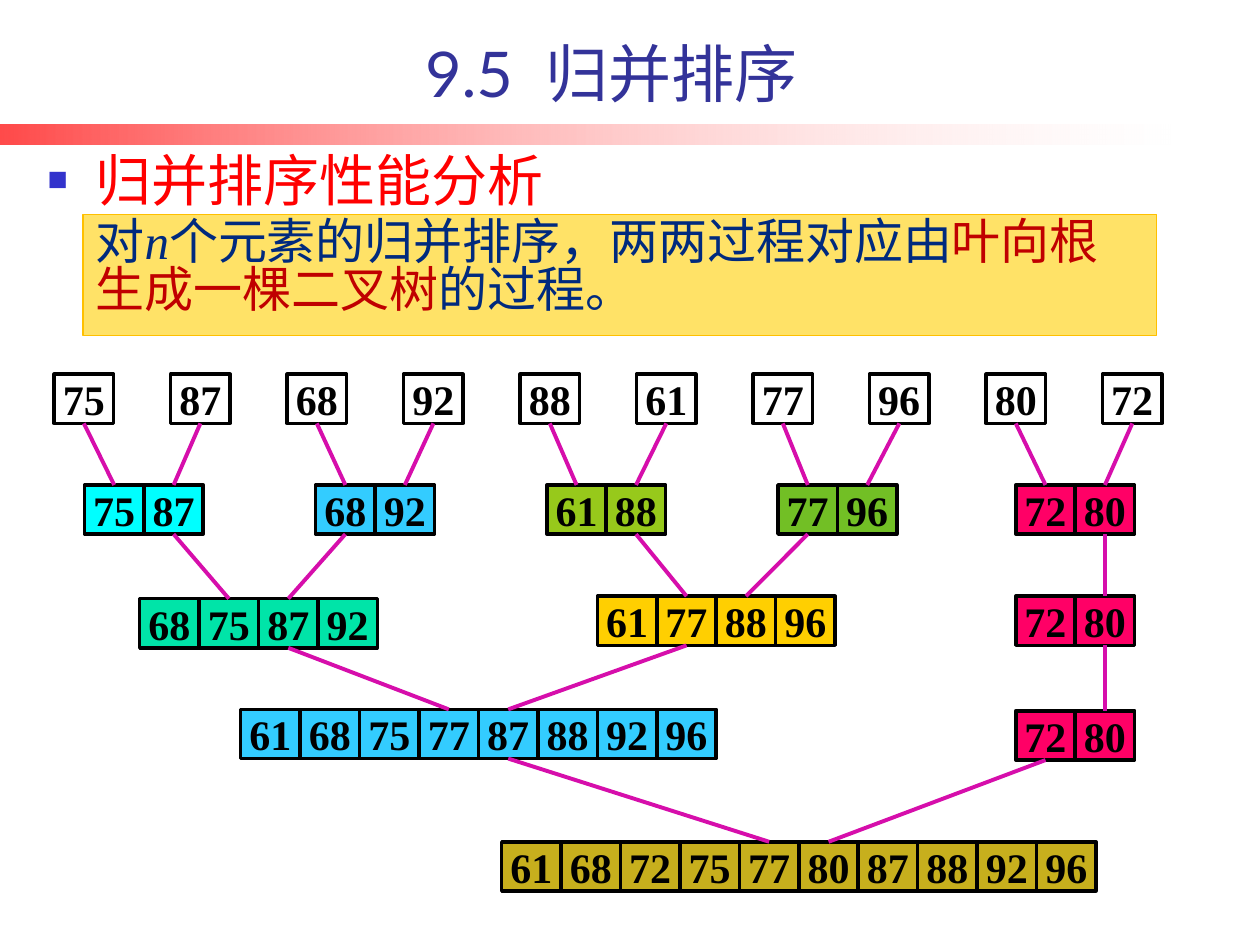
from dataclasses import dataclass
from typing import Optional

from lxml.etree import SubElement
from pptx import Presentation
from pptx.dml.color import RGBColor as Rgb
from pptx.enum.shapes import MSO_CONNECTOR as Connector, MSO_SHAPE as Shape
from pptx.enum.text import MSO_ANCHOR as Anchor, MSO_AUTO_SIZE as AutoSize, PP_ALIGN as Align
from pptx.oxml.ns import qn
from pptx.util import Inches, Pt

COLORS = {
    "title": "333399", "heading": "FF0000", "bullet": "3333CC", "navy": "002A7E",
    "dark_red": "C00000", "panel": "FFE267", "panel_line": "FFC000", "black": "000000",
    "white": "FFFFFF", "red": "FF0000", "link": "D60EAB", "aqua": "00FFFF",
    "sky": "33CCFF", "lime": "97C91B", "leaf": "72BF25", "pink": "FF0066",
    "mint": "00E4A8", "gold": "FFCF01", "olive": "C7AF1D",
}
SERIF, SANS, CJK = "Times New Roman", "Lato", "Noto Sans CJK SC"
WIDTH, HEIGHT = Inches(10), Inches(7.5)
COLUMN, ROW = WIDTH / 21.2, HEIGHT / 19.2
TREE_LEFT, TREE_TOP = WIDTH * 0.043, HEIGHT * 0.396


@dataclass(frozen=True)
class Node:
    column: float
    row: float
    fill: Optional[str]
    children: tuple["Node", ...] = ()
    value: int = 0

    @property
    def values(self) -> list[int]:
        if not self.children:
            return [self.value]
        return sorted(value for child in self.children for value in child.values)

    def slot_left(self, slot: int) -> int:
        return round(TREE_LEFT + (self.column + slot) * COLUMN)

    def slot_center(self, slot: int) -> int:
        return round(self.slot_left(slot) + COLUMN / 2)

    @property
    def top(self) -> int:
        return round(TREE_TOP + self.row * ROW)

    @property
    def bottom(self) -> int:
        return round(self.top + ROW)


def color(name: str) -> Rgb:
    return Rgb.from_string(COLORS[name])


def place(shape, left: float, top: float, width: float, height: float) -> None:
    shape.left, shape.width = round(WIDTH * left), round(WIDTH * width)
    shape.top, shape.height = round(HEIGHT * top), round(HEIGHT * height)


def style(span, size: float, font: str, name: str, bold: bool = False, italic: bool = False) -> None:
    span.font.size, span.font.name = Pt(size), font
    span.font.bold, span.font.italic = bold, italic
    span.font.color.rgb = color(name)
    SubElement(span.font._element, qn("a:ea"), typeface=CJK)


def draw_cell(page, node: Node, slot: int, value: int) -> None:
    box = page.shapes.add_shape(Shape.RECTANGLE, node.slot_left(slot), node.top, round(COLUMN), round(ROW))
    box.shadow.inherit = False
    if node.fill:
        box.fill.solid()
        box.fill.fore_color.rgb = color(node.fill)
    else:
        box.fill.background()
    box.line.color.rgb, box.line.width = color("black"), Pt(2)
    frame = box.text_frame
    frame.text = str(value)
    frame.word_wrap, frame.vertical_anchor = False, Anchor.MIDDLE
    frame.paragraphs[0].alignment = Align.CENTER
    style(frame.paragraphs[0].runs[0], 24, SERIF, "black", bold=True)


def draw_link(page, child: Node, parent: Node, is_left: bool) -> None:
    half, parent_half = len(child.values) // 2, len(parent.values) // 2
    only_child = len(parent.children) == 1
    start = half if is_left or only_child else max(half - 1, 0)
    end = parent_half - 1 if is_left and not only_child else parent_half
    link = page.shapes.add_connector(
        Connector.STRAIGHT, child.slot_center(start), child.bottom, parent.slot_center(end), parent.top)
    link.line.color.rgb, link.line.width = color("link"), Pt(2.25)
    SubElement(link._element.spPr, qn("a:effectLst"))


def draw_tree(page, node: Node) -> None:
    for child in node.children:
        draw_tree(page, child)
    for slot, value in enumerate(node.values):
        draw_cell(page, node, slot, value)
    for index, child in enumerate(node.children):
        draw_link(page, child, node, index == 0)


def build_tree() -> Node:
    numbers = (75, 87, 68, 92, 88, 61, 77, 96, 80, 72)
    leaves = [Node(1.96 * i, 0, None, value=number) for i, number in enumerate(numbers)]
    fills = ("aqua", "sky", "lime", "leaf", "pink")
    columns = [0.51 + 3.89 * i for i in range(4)] + [16.18]
    pairs = [Node(column, 2.25, fill, tuple(leaves[2 * i:2 * i + 2]))
             for i, (column, fill) in enumerate(zip(columns, fills))]
    quads = (Node(1.44, 4.56, "mint", tuple(pairs[:2])), Node(9.14, 4.51, "gold", tuple(pairs[2:4])))
    eight = Node(3.14, 6.81, "sky", quads)
    carried = pairs[4]
    for row in (4.51, 6.84):
        carried = Node(16.18, row, "pink", (carried,))
    return Node(7.53, 9.5, "olive", (eight, carried))


def draw_band(page) -> None:
    band = page.shapes.add_shape(Shape.RECTANGLE, 0, 0, 0, 0)
    place(band, 0, 0.132, 0.929, 0.021)
    band.shadow.inherit = False
    band.line.fill.background()
    band.fill.gradient()
    band.fill.gradient_angle = 0
    for stop, name, opacity in zip(band.fill.gradient_stops, ("red", "white"), (71, 18)):
        stop.color.rgb = color(name)
    for tint, opacity in zip(band._element.spPr.iter(qn("a:srgbClr")), (71, 18)):
        SubElement(tint, qn("a:alpha"), val=str(opacity * 1000))


def draw_title(page) -> None:
    title = page.shapes.title
    place(title, 0.059, 0.028, 0.852, 0.095)
    frame = title.text_frame
    frame.text = "9.5  归并排序"
    frame.auto_size, frame.vertical_anchor = AutoSize.NONE, Anchor.BOTTOM
    frame.paragraphs[0].alignment = Align.CENTER
    style(frame.paragraphs[0].runs[0], 36, SANS, "title")


def draw_heading(page) -> None:
    box = page.shapes.add_textbox(0, 0, 0, 0)
    place(box, 0.028, 0.155, 0.606, 0.079)
    frame = box.text_frame
    frame.word_wrap = True
    para = frame.paragraphs[0]
    para.text = "归并排序性能分析"
    para.line_spacing = 0.9
    style(para.runs[0], 32, CJK, "heading")
    props = para._p.get_or_add_pPr()
    props.set("marL", str(Inches(0.38)))
    props.set("indent", str(-Inches(0.38)))
    tint = SubElement(props, qn("a:buClr"))
    SubElement(tint, qn("a:srgbClr"), val=COLORS["bullet"])
    SubElement(props, qn("a:buSzPct"), val="60000")
    SubElement(props, qn("a:buFont"), typeface=SERIF)
    SubElement(props, qn("a:buChar"), char="■")


def draw_statement(page) -> None:
    body = page.placeholders[1]
    place(body, 0.066, 0.227, 0.852, 0.128)
    body.fill.solid()
    body.fill.fore_color.rgb = color("panel")
    body.line.color.rgb, body.line.width = color("panel_line"), Pt(0.75)
    frame = body.text_frame
    frame.auto_size, frame.vertical_anchor = AutoSize.NONE, Anchor.TOP
    para = frame.paragraphs[0]
    para.line_spacing = 0.82
    props = para._p.get_or_add_pPr()
    props.set("marL", "0")
    props.set("indent", "0")
    SubElement(props, qn("a:buNone"))
    for text, name, italic in (
        ("对", "navy", False), ("n", "navy", True),
        ("个元素的归并排序，两两过程对应由", "navy", False),
        ("叶向根生成一棵二叉树", "dark_red", False), ("的过程。", "navy", False),
    ):
        span = para.add_run()
        span.text = text
        style(span, 28, SERIF, name, italic=italic)


deck = Presentation()
deck.slide_width, deck.slide_height = WIDTH, HEIGHT
page = deck.slides.add_slide(deck.slide_layouts[1])
draw_band(page)
draw_title(page)
draw_statement(page)
draw_heading(page)
draw_tree(page, build_tree())
deck.save("out.pptx")
